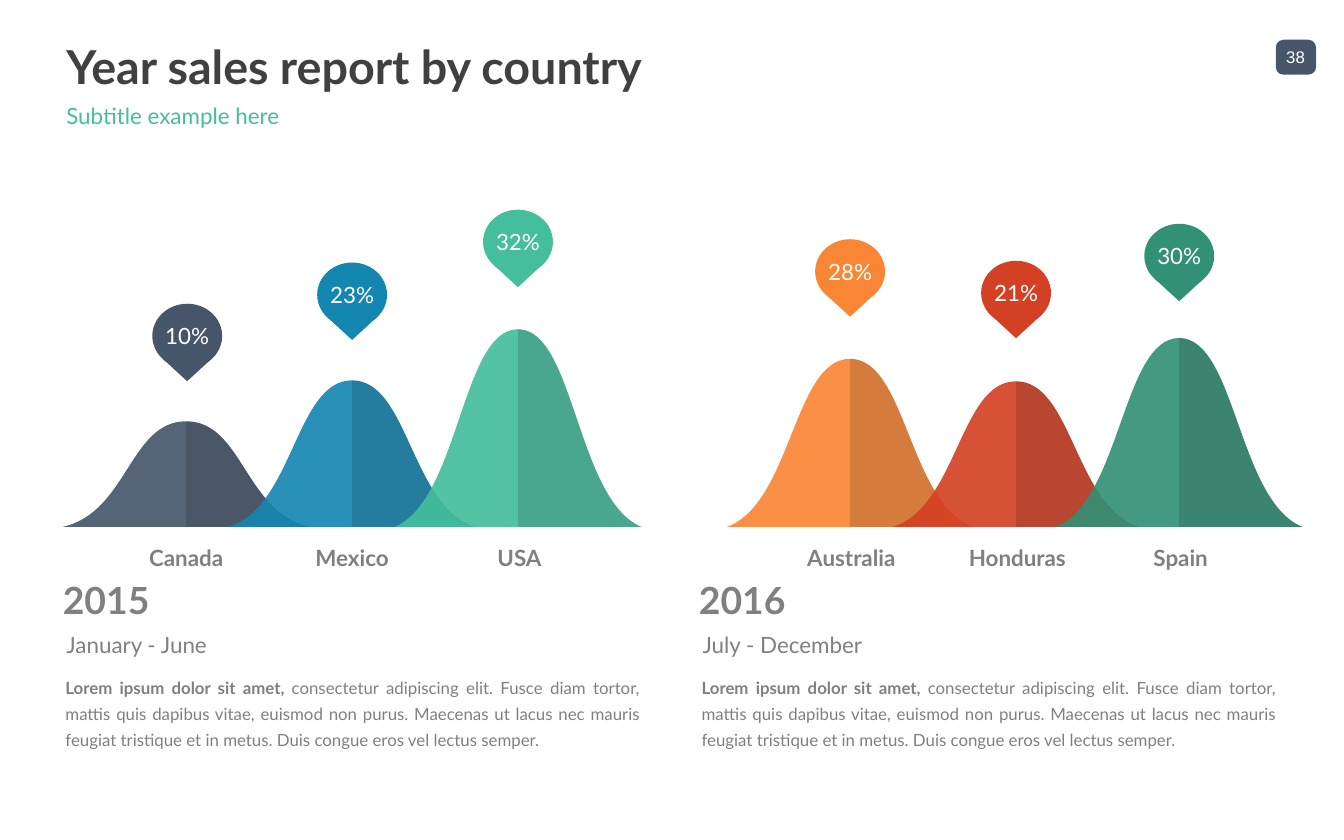
from dataclasses import dataclass

from lxml.etree import SubElement
from pptx import Presentation
from pptx.dml.color import RGBColor
from pptx.enum.shapes import MSO_SHAPE as Preset
from pptx.enum.text import MSO_ANCHOR as Anchor, MSO_AUTO_SIZE as AutoSize, PP_ALIGN as Align
from pptx.oxml.ns import qn
from pptx.util import Inches, Pt

Points = list[tuple[float, float]]

# Grid: 100 columns by 62.5 rows of square cells
CELL = Inches(0.1)
COLUMNS, ROWS = 100, 62.5

SLATE = RGBColor(0x46, 0x55, 0x6A)
BLUE = RGBColor(0x14, 0x87, 0xB1)
MINT = RGBColor(0x44, 0xBE, 0x9B)
ORANGE = RGBColor(0xF9, 0x86, 0x34)
RED = RGBColor(0xD4, 0x40, 0x24)
GREEN = RGBColor(0x32, 0x90, 0x75)
SHADE = RGBColor(0x0D, 0x0D, 0x0D)
INK = RGBColor(0x40, 0x40, 0x40)
GRAY = RGBColor(0x80, 0x80, 0x80)
WHITE = RGBColor(0xFF, 0xFF, 0xFF)

BASELINE = 39.2
HALF_BELL = 9.16
PIN_WIDTH, PIN_HEIGHT = 5.2, 4.8

LEAD = "Lorem ipsum dolor sit amet, "
DETAIL = ("consectetur adipiscing elit. Fusce diam tortor, mattis quis dapibus vitae, "
          "euismod non purus. Maecenas ut lacus nec mauris feugiat tristique et in metus. "
          "Duis congue eros vel lectus semper.")


@dataclass(frozen=True)
class Country:
    name: str
    share: str
    color: RGBColor
    center: float
    peak: float
    pin_center: float
    pin_top: float
    label_left: float


@dataclass(frozen=True)
class Period:
    year: str
    months: str
    left: float
    heading_slot: int
    detail_slot: int


COUNTRIES = [
    Country("Canada", "10%", SLATE, 13.85, 31.35, 13.93, 22.6, 9.1),
    Country("Mexico", "23%", BLUE, 26.2, 28.3, 26.2, 19.53, 21.45),
    Country("USA", "32%", MINT, 38.54, 24.5, 38.54, 15.6, 33.9),
    Country("Australia", "28%", ORANGE, 63.25, 26.7, 63.25, 17.8, 58.6),
    Country("Honduras", "21%", RED, 75.6, 28.37, 75.6, 19.4, 70.95),
    Country("Spain", "30%", GREEN, 87.74, 25.15, 87.74, 16.65, 83.1),
]
PERIODS = [
    Period("2015", "January - June", 4.87, 1, 2),
    Period("2016", "July - December", 52.2, 3, 4),
]


def cells(count: float) -> int:
    return round(count * CELL)


def place(shape, left: float, top: float, width: float, height: float) -> None:
    shape.left, shape.top = cells(left), cells(top)
    shape.width, shape.height = cells(width), cells(height)


def paint(shape, color: RGBColor, opacity: int = 100) -> None:
    shape.shadow.inherit = False
    shape.line.fill.background()
    shape.fill.solid()
    shape.fill.fore_color.rgb = color
    if opacity < 100:
        value = shape.fill._xPr.find(qn("a:solidFill"))[0]
        SubElement(value, qn("a:alpha")).set("val", str(opacity * 1000))


def write(shape, spans: list[tuple[str, bool]], size: float, color: RGBColor,
          align=Align.LEFT, anchor=Anchor.MIDDLE, spacing: float = 1.0,
          wrap: bool = True, font: str = "Lato") -> None:
    frame = shape.text_frame
    frame.auto_size, frame.word_wrap = AutoSize.NONE, wrap
    frame.vertical_anchor = anchor
    frame.margin_left = frame.margin_right = frame.margin_top = frame.margin_bottom = 0
    para = frame.paragraphs[0]
    para.alignment, para.line_spacing, para.space_before = align, spacing, Pt(0)
    for words, bold in spans:
        span = para.add_run()
        span.text = words
        span.font.name, span.font.size, span.font.bold = font, Pt(size), bold
        span.font.color.rgb = color
    # Plain text without bullet or hanging indent
    properties = para._p.get_or_add_pPr()
    properties.set("marL", "0")
    properties.set("indent", "0")
    SubElement(properties, qn("a:buNone"))


def add_text(page, left: float, top: float, width: float, height: float, words: str,
             size: float, color: RGBColor, bold: bool = False, **layout) -> None:
    box = page.shapes.add_textbox(0, 0, 0, 0)
    place(box, left, top, width, height)
    write(box, [(words, bold)], size, color, **layout)


def add_outline(page, points: Points, color: RGBColor, opacity: int = 100, curves: int = 0) -> None:
    """Closed outline; after the start, each curve takes three points."""
    corners = [(cells(x), cells(y)) for x, y in points]
    builder = page.shapes.build_freeform(*corners[0], scale=1.0)
    builder.add_line_segments(corners[1:], close=True)
    shape = builder.convert_to_shape()
    segments = list(shape._element.iter(qn("a:lnTo")))
    for first in range(0, 3 * curves, 3):
        curve, *others = segments[first:first + 3]
        bezier = curve.makeelement(qn("a:cubicBezTo"))
        curve.addprevious(bezier)
        for segment in (curve, *others):
            bezier.append(segment[0])
            segment.getparent().remove(segment)
    paint(shape, color, opacity)


def slope(country: Country, side: int) -> Points:
    """Bezier points from the peak down to the baseline; side is -1 or 1."""
    knee = country.peak + 0.86 * (BASELINE - country.peak)
    return [(country.center, country.peak), (country.center + side * 4.2, country.peak),
            (country.center + side * 4.35, knee), (country.center + side * HALF_BELL, BASELINE)]


def add_bell(page, country: Country) -> None:
    left, right = slope(country, -1), slope(country, 1)
    rise = right[::-1]
    foot = (country.center, BASELINE)
    add_outline(page, left + [foot] * 3 + [rise[0]] * 3 + rise[1:], country.color, 91, curves=4)
    add_outline(page, rise + [foot] * 3, SHADE, 15, curves=2)


def add_pin(page, country: Country) -> None:
    middle = country.pin_center
    head = page.shapes.add_shape(Preset.OVAL, 0, 0, 0, 0)
    place(head, middle - PIN_WIDTH / 2, country.pin_top, PIN_WIDTH, PIN_HEIGHT)
    paint(head, country.color)
    write(head, [(country.share, False)], 12, WHITE, Align.CENTER)
    shoulder, tip = country.pin_top + 4.08, country.pin_top + 5.76
    add_outline(page, [(middle + 1.83, shoulder), (middle, tip), (middle - 1.83, shoulder)],
                country.color)


def add_period(page, period: Period) -> None:
    slots = {slot.placeholder_format.idx: slot for slot in page.placeholders}
    heading, detail = slots[period.heading_slot], slots[period.detail_slot]
    place(heading, period.left - 0.2, 42.55, 42.9, 4.1)
    write(heading, [(period.year, True)], 20, GRAY)
    add_text(page, period.left + 0.08, 46.9, 42.6, 2.1, period.months, 12, GRAY)
    place(detail, period.left, 49.96, 42.7, 7.1)
    write(detail, [(LEAD, True), (DETAIL, False)], 9, GRAY, Align.JUSTIFY, Anchor.TOP, 1.3)


deck = Presentation()
deck.slide_width, deck.slide_height = cells(COLUMNS), cells(ROWS)
comparison_layout = deck.slide_layouts[4]
page = deck.slides.add_slide(comparison_layout)

# Heading and page number
title = page.shapes.title
place(title, 4.94, 2.95, 90, 3.9)
write(title, [("Year sales report by country", True)], 25, INK)
add_text(page, 4.94, 7.55, 90, 2.1, "Subtitle example here", 12, MINT)
badge = page.shapes.add_shape(Preset.ROUNDED_RECTANGLE, 0, 0, 0, 0)
place(badge, 94.93, 2.96, 3, 2.6)
badge.adjustments[0] = 0.22
paint(badge, SLATE)
add_text(page, 95.6, 2.9, 1.6, 2.7, "38", 9, WHITE, align=Align.CENTER, wrap=False, font="Arial")

# Half-year summaries
for period in PERIODS:
    add_period(page, period)

# Bells with their pins and names
for country in COUNTRIES:
    add_bell(page, country)
for country in COUNTRIES:
    add_pin(page, country)
    add_text(page, country.label_left, 39.9, 9.5, 2.7, country.name, 12, GRAY, True,
             align=Align.CENTER, anchor=Anchor.TOP, spacing=1.3)

deck.save("out.pptx")
